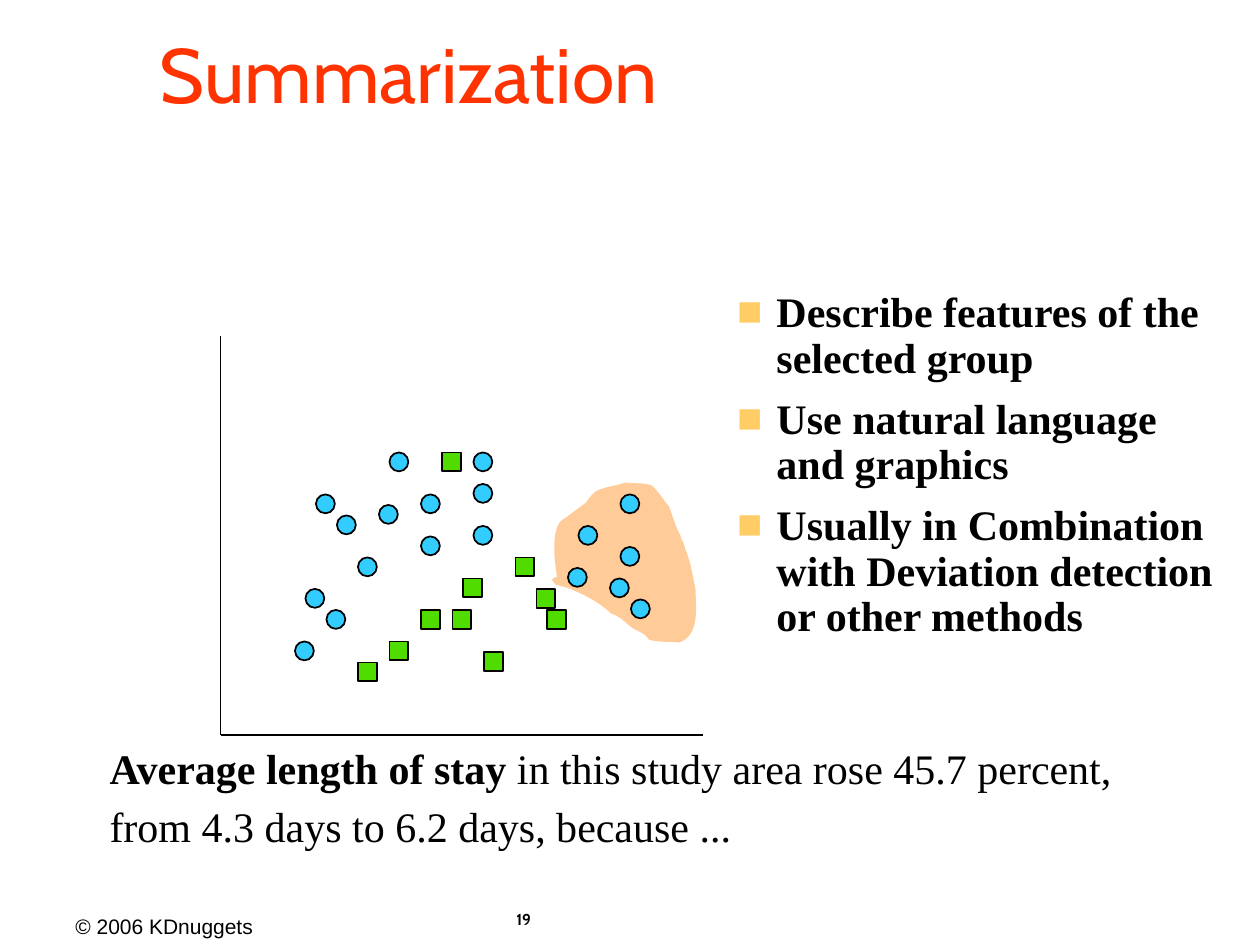
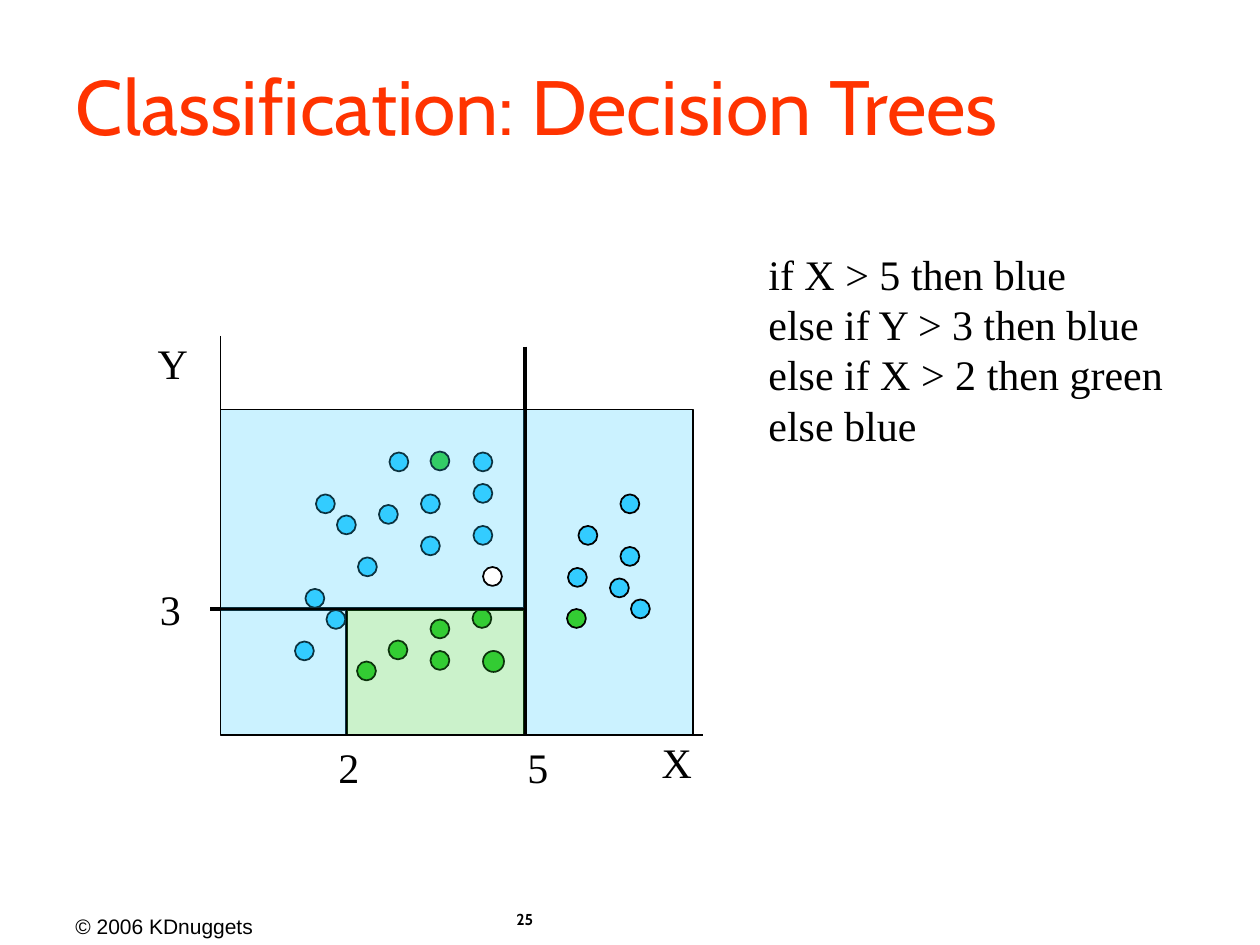
from lxml.etree import SubElement
from pptx import Presentation
from pptx.dml.color import RGBColor
from pptx.enum.shapes import MSO_CONNECTOR, MSO_SHAPE
from pptx.enum.text import MSO_ANCHOR, MSO_AUTO_SIZE, PP_ALIGN
from pptx.oxml.ns import qn
from pptx.util import Inches, Pt

BLACK = RGBColor(0x00, 0x00, 0x00)
WHITE = RGBColor(0xFF, 0xFF, 0xFF)
TITLE_RED = RGBColor(0xFF, 0x33, 0x00)
BLUE = RGBColor(0x33, 0xCC, 0xFF)
GREEN = RGBColor(0x33, 0xCC, 0x33)
SQUARE_GREEN = RGBColor(0x51, 0xDC, 0x00)
GROUP_ORANGE = RGBColor(0xFF, 0xCC, 0x99)
BULLET_YELLOW = "FFCC66"
SERIF = "Times New Roman"
DISPLAY = "Cabin"
CELL = Inches(1) // 12
DOT = 1.8


def add_block(slide, kind, box, color, line_width, opacity=100):
    shape = slide.shapes.add_shape(kind, *[int(value * CELL) for value in box])
    shape.shadow.inherit = False
    shape.fill.solid()
    shape.fill.fore_color.rgb = color
    shape.line.color.rgb = BLACK
    shape.line.width = Pt(line_width)
    if opacity < 100:
        color_element = shape._element.spPr.find(qn("a:solidFill"))[0]
        SubElement(color_element, qn("a:alpha"), val=str(opacity * 1000))


def add_text(slide, box, lines, size=24, font=SERIF, bold=None, wrap=False):
    shape = slide.shapes.add_textbox(*[int(value * CELL) for value in box])
    frame = shape.text_frame
    frame.word_wrap = wrap
    frame.auto_size = MSO_AUTO_SIZE.NONE if wrap else MSO_AUTO_SIZE.SHAPE_TO_FIT_TEXT
    frame.text = "\n".join(lines)
    for paragraph in frame.paragraphs:
        paragraph.font.size = Pt(size)
        paragraph.font.name = font
        paragraph.font.bold = bold
        paragraph.font.color.rgb = BLACK
    return frame


presentation = Presentation()
presentation.slide_width = Inches(10)
presentation.slide_height = Inches(7.5)
summary = presentation.slides.add_slide(presentation.slide_layouts[1])
trees = presentation.slides.add_slide(presentation.slide_layouts[5])

for slide, heading, box, number in [
    (summary, "Summarization", (14, 4, 98, 8), "19"),
    (trees, "Classification: Decision Trees", (6, 3, 109, 12), "25"),
]:
    title = slide.shapes.title
    title.left, title.top, title.width, title.height = [value * CELL for value in box]
    frame = title.text_frame
    frame.text = heading
    frame.auto_size = MSO_AUTO_SIZE.NONE
    frame.vertical_anchor = MSO_ANCHOR.BOTTOM
    paragraph = frame.paragraphs[0]
    paragraph.alignment = PP_ALIGN.LEFT
    paragraph.line_spacing = 0.85
    paragraph.font.size = Pt(44)
    paragraph.font.name = DISPLAY
    paragraph.font.color.rgb = TITLE_RED
    add_text(slide, (6, 86.4, 19.3, 3.6), ["© 2006 KDnuggets"], 12, "Arial")
    add_text(slide, (48, 86.07, 12.25, 3.95), [number], 9, DISPLAY, True, True)

group_start = (4.42, 4.58)
group_curves = [
    ((4.42, 4.56), (4.34, 4.16), (4.49, 4.11)),
    ((4.62, 4.01), (4.57, 4.05), (4.65, 3.99)),
    ((4.67, 3.96), (4.7, 3.92), (4.73, 3.9)),
    ((4.8, 3.86), (4.89, 3.86), (4.96, 3.83)),
    ((5.03, 3.84), (5.1, 3.83), (5.16, 3.85)),
    ((5.19, 3.85), (5.28, 3.99), (5.31, 4.02)),
    ((5.34, 4.1), (5.36, 4.18), (5.4, 4.25)),
    ((5.44, 4.4), (5.39, 4.19), (5.44, 4.36)),
    ((5.48, 4.46), (5.5, 4.57), (5.52, 4.68)),
    ((5.52, 4.81), (5.56, 5.04), (5.39, 5.1)),
    ((5.31, 5.09), (5.24, 5.1), (5.16, 5.08)),
    ((5.14, 5.08), (5.14, 5.05), (5.12, 5.04)),
    ((5.06, 5), (5.05, 5.01), (5, 4.97)),
    ((4.95, 4.93), (4.92, 4.89), (4.85, 4.87)),
    ((4.75, 4.77), (4.55, 4.67), (4.41, 4.64)),
    ((4.4, 4.62), (4.38, 4.61), (4.38, 4.6)),
    ((4.39, 4.58), (4.42, 4.58), (4.42, 4.58)),
]
builder = summary.shapes.build_freeform(*[Inches(value) for value in group_start])
builder.add_line_segments(
    [(Inches(x), Inches(y)) for curve in group_curves for x, y in curve], close=True
)
selected_group = builder.convert_to_shape()
segments = list(selected_group._element.iter(qn("a:lnTo")))
for index in range(0, len(segments), 3):
    first, second, third = segments[index:index + 3]
    curve = first.getparent().makeelement(qn("a:cubicBezTo"), {})
    first.addprevious(curve)
    for segment in (first, second, third):
        curve.append(segment[0])
        segment.getparent().remove(segment)
selected_group.shadow.inherit = False
selected_group.fill.solid()
selected_group.fill.fore_color.rgb = GROUP_ORANGE
selected_group.line.fill.background()

add_block(trees, MSO_SHAPE.RECTANGLE, (50, 39, 16, 31), BLUE, 0.75, 25)

squares = [(40, 58), (44, 55), (49, 53), (43, 58), (46, 62), (52, 58), (37, 61), (34, 63), (51, 56), (42, 43)]
blue_dots = [
    (30, 47), (32, 49), (36, 48), (40, 47), (29, 56), (45, 43), (34, 53), (40, 51), (45, 50), (31, 58),
    (28, 61), (37, 43), (45, 46), (59, 47), (55, 50), (54, 54), (58, 55), (60, 57), (59, 52),
]
green_dots = [(34, 63), (37, 61), (41, 62), (41, 59), (45, 58), (41, 43), (54, 58)]
for slide, kind, color, offset, places in [
    (summary, MSO_SHAPE.RECTANGLE, SQUARE_GREEN, 0.09, squares),
    (summary, MSO_SHAPE.OVAL, BLUE, 0.09, blue_dots),
    (trees, MSO_SHAPE.OVAL, BLUE, 0.09, blue_dots),
    (trees, MSO_SHAPE.OVAL, GREEN, 0, green_dots),
]:
    for column, row in places:
        add_block(slide, kind, (column + offset, row + offset, DOT, DOT), color, 1)
add_block(trees, MSO_SHAPE.OVAL, (46, 62, 2, 2), GREEN, 1)

axes = [(21, 32, 21, 70), (21, 70, 67, 70)]
splits = [(50, 33, 50, 70), (50, 58, 20, 58), (33, 58, 33, 70)]
for slide, lines, width in [(summary, axes, 1), (trees, axes, 1), (trees, splits, 2)]:
    for ends in lines:
        connector = slide.shapes.add_connector(MSO_CONNECTOR.STRAIGHT, *[value * CELL for value in ends])
        connector.line.color.rgb = BLACK
        connector.line.width = Pt(width)
        SubElement(connector._element.spPr, qn("a:effectLst"))

for box, color in [
    ((21, 39, 29, 19), BLUE),
    ((21, 58, 12, 12), BLUE),
    ((33, 58, 17, 12), GREEN),
]:
    add_block(trees, MSO_SHAPE.RECTANGLE, box, color, 0.75, 25)
add_block(trees, MSO_SHAPE.OVAL, (46, 54, DOT, DOT), WHITE, 1)

for label, column, row, width in [
    ("X", 61.83, 69.58, 5.25),
    ("Y", 13.83, 31.58, 5.25),
    ("5", 49.05, 70, 4.3),
    ("2", 31.05, 70, 4.3),
    ("3", 14.05, 55, 4.3),
]:
    add_text(trees, (column, row, width, 6), [label])
add_text(trees, (72, 23.05, 40, 20.4), [
    "if X > 5 then blue",
    "else if Y > 3 then blue",
    "else if X > 2 then green",
    "else blue",
])

features = summary.placeholders[1]
features.left, features.top, features.width, features.height = [
    int(value * CELL) for value in (69, 27.17, 49.6, 34.4)
]
frame = features.text_frame
frame.auto_size = MSO_AUTO_SIZE.NONE
frame.text = "\n".join([
    "Describe features of the selected group",
    "Use natural language and graphics",
    "Usually in Combination with Deviation detection or other methods",
])
for index, paragraph in enumerate(frame.paragraphs):
    properties = paragraph._p.get_or_add_pPr()
    properties.set("marL", str(Pt(22.5)))
    properties.set("indent", str(-Pt(22.5)))
    bullet_color = SubElement(properties, qn("a:buClr"))
    SubElement(bullet_color, qn("a:srgbClr"), val=BULLET_YELLOW)
    SubElement(properties, qn("a:buFont"), typeface=SERIF)
    SubElement(properties, qn("a:buChar"), char="■")
    paragraph.line_spacing = 0.9
    paragraph.space_before = Pt(9 if index else 0)
    paragraph.font.size = Pt(24)
    paragraph.font.name = SERIF
    paragraph.font.bold = True
    paragraph.font.color.rgb = BLACK

finding = add_text(summary, (9.25, 71.07, 106.7, 10.5), ["", "from 4.3 days to 6.2 days, because ..."])
for text, bold in [("Average length of stay", True), (" in this study area rose 45.7 percent,", False)]:
    run = finding.paragraphs[0].add_run()
    run.text = text
    run.font.bold = bold
for index, paragraph in enumerate(finding.paragraphs):
    paragraph.line_spacing = 0.8
    paragraph.space_before = Pt(5 if index else 0)
    paragraph.space_after = Pt(5)

presentation.save("out.pptx")
